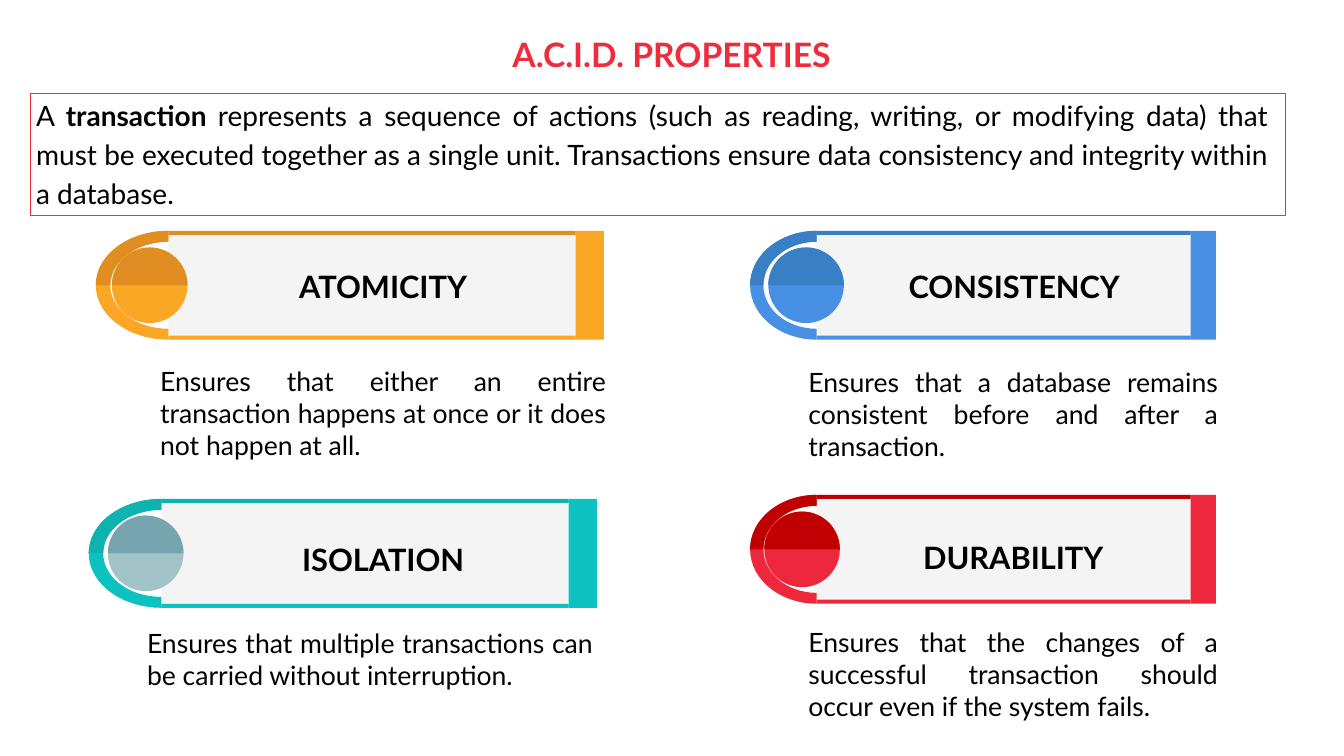
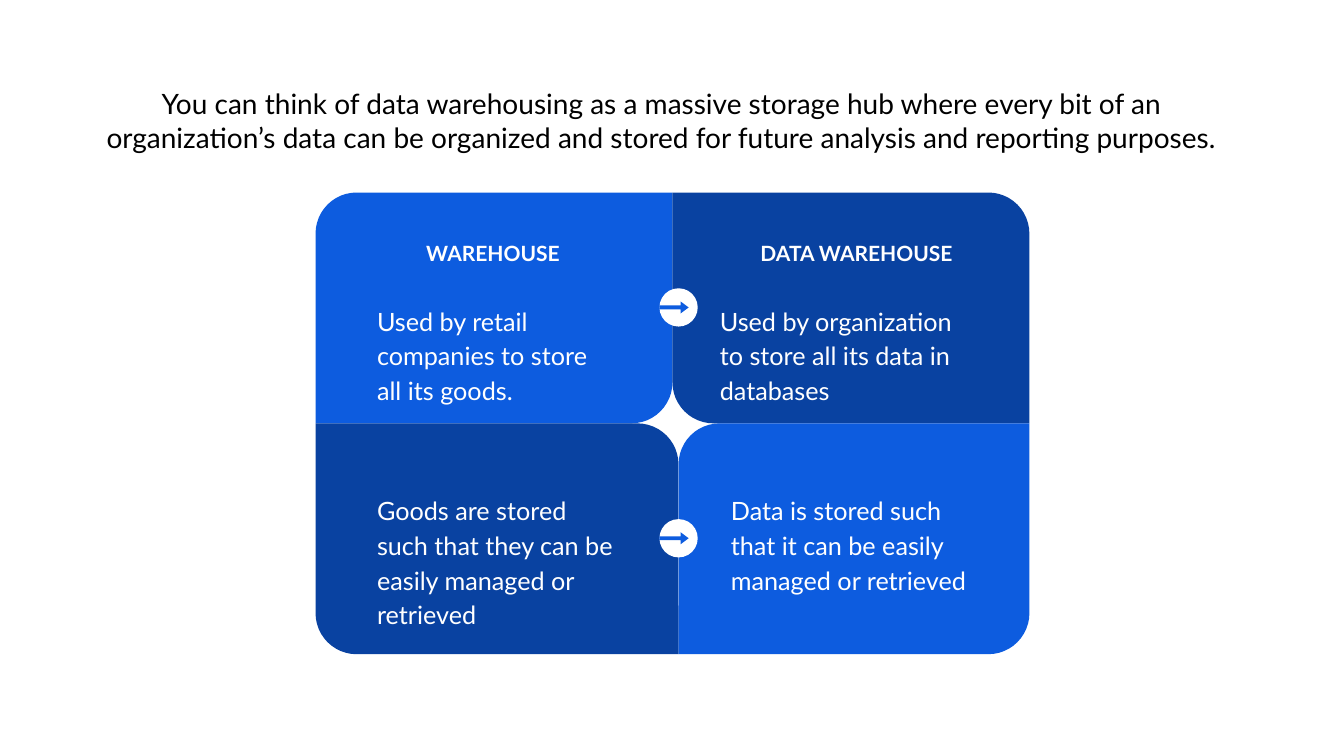
"""Build two slides: the A.C.I.D. properties and a data warehouse comparison."""
from math import cos, radians, sin

from pptx import Presentation
from pptx.dml.color import RGBColor
from pptx.enum.shapes import MSO_SHAPE
from pptx.enum.text import MSO_ANCHOR, PP_ALIGN
from pptx.util import Pt

PX = 9144
FONT = "Lato"
RECT, OVAL = MSO_SHAPE.RECTANGLE, MSO_SHAPE.OVAL
ARROW, LEAF = MSO_SHAPE.RIGHT_ARROW, MSO_SHAPE.ROUND_2_DIAG_RECTANGLE
LEFT, CENTER, JUSTIFY = PP_ALIGN.LEFT, PP_ALIGN.CENTER, PP_ALIGN.JUSTIFY
COLOURS = {
    "black": "000000", "white": "FFFFFF", "panel": "F4F4F4", "title": "EE2C3C",
    "orange": "FAA726", "dark orange": "E08E22",
    "sky": "4890E4", "dark sky": "387FC6",
    "teal": "0EC1C1", "dark teal": "0DB3AF",
    "mist": "A2C4C9", "dark mist": "76A5AF",
    "red": "EE283C", "dark red": "C00000",
    "blue": "0D5CDF", "navy": "0942A1",
}


def paint(shape, colour):
    """Give a shape a flat fill without line or shadow."""
    shape.shadow.inherit = False
    shape.fill.solid()
    shape.fill.fore_color.rgb = RGBColor.from_string(COLOURS[colour])
    shape.line.fill.background()


def write(shape, text, size, colour, align, inset=(10, 10), bold=False, spacing=None):
    """Set one wrapped paragraph in a shape and return it."""
    frame = shape.text_frame
    frame.word_wrap = True
    frame.margin_left = frame.margin_right = inset[0] * PX
    frame.margin_top = frame.margin_bottom = inset[1] * PX
    paragraph = frame.paragraphs[0]
    paragraph.text = text
    paragraph.alignment = align
    paragraph.line_spacing = spacing
    font = paragraph.font
    font.name, font.size, font.bold = FONT, Pt(size), bold
    font.color.rgb = RGBColor.from_string(COLOURS[colour])
    return paragraph


deck = Presentation()
deck.slide_width, deck.slide_height = 1333 * PX, 750 * PX

acid = deck.slides.add_slide(deck.slide_layouts[5])
title = acid.shapes.title
title.left, title.top, title.width, title.height = (n * PX for n in (45, 24, 1242, 60))
write(title, "A.C.I.D. PROPERTIES", 24, "title", CENTER, bold=True)
title.text_frame.vertical_anchor = MSO_ANCHOR.MIDDLE

border = acid.shapes.add_shape(RECT, *(n * PX for n in (30, 93, 1245, 121)))
border.shadow.inherit = False
border.fill.background()
border.line.color.rgb = RGBColor.from_string(COLOURS["title"])
border.line.width = Pt(0.75)

definition = acid.shapes.add_textbox(*(n * PX for n in (26, 83, 1242, 120)))
sentence = write(definition, "A ", 20, "black", JUSTIFY, spacing=1.15)
term = sentence.add_run()
term.text = "transaction "
term.font.bold = True
sentence.add_run().text = (
    "represents a sequence of actions (such as reading, writing, or modifying data) "
    "that must be executed together as a single unit. Transactions ensure data "
    "consistency and integrity within a database."
)

BAND, STRIP, DISC = 108, 4, 75
WIDE, NARROW = (72, 404, 28), (66, 371, 25)
PROPERTIES = [
    ("ATOMICITY", (95, 229), WIDE, 111, "orange", "orange", (275, 259, 210), (149, 352, 462),
     "Ensures that either an entire transaction happens at once or it does not happen at all."),
    ("CONSISTENCY", (744, 229), NARROW, 762, "sky", "sky", (878, 259, 256), (792, 353, 426),
     "Ensures that a database remains consistent before and after a transaction."),
    ("ISOLATION", (88, 495), WIDE, 107, "teal", "mist", (275, 530, 210), (136, 612, 462),
     "Ensures that multiple transactions can be carried without interruption."),
    ("DURABILITY", (744, 491), NARROW, 758, "red", "red", (900, 528, 210), (792, 611, 426),
     "Ensures that the changes of a successful transaction should occur even if the system fails."),
]
for name, (x, y), (bow, body, cap), disc_x, hue, disc_hue, heading, detail, meaning in PROPERTIES:
    body_x, middle, radius = x + bow, y + BAND / 2, DISC / 2
    for kind, box, colour in [
        (RECT, (body_x, y, body, BAND), "panel"),
        (RECT, (body_x + body, y, cap, BAND), hue),
        (RECT, (body_x, y, body, STRIP), "dark " + hue),
        (RECT, (body_x, y + BAND - STRIP, body, STRIP), hue),
        (OVAL, (disc_x, middle - radius, DISC, DISC), disc_hue),
    ]:
        paint(acid.shapes.add_shape(kind, *(int(n * PX) for n in box)), colour)

    outer, inner = (body_x, bow, BAND / 2), (body_x, bow * 0.8, BAND * 0.4)
    dome = (disc_x + radius, radius, radius)
    for arcs, colour in [
        ([(outer, 90, 270), (inner, 270, 90)], hue),
        ([(outer, 180, 270), (inner, 270, 180)], "dark " + hue),
        ([(dome, 180, 360)], "dark " + disc_hue),
    ]:
        points = []
        for (center, rx, ry), start, end in arcs:
            for step in range(31):
                angle = radians(start + (end - start) * step / 30)
                points.append((round((center + rx * cos(angle)) * PX),
                               round((middle + ry * sin(angle)) * PX)))
        builder = acid.shapes.build_freeform(*points[0])
        builder.add_line_segments(points[1:], close=True)
        paint(builder.convert_to_shape(), colour)

    label = acid.shapes.add_textbox(*(n * PX for n in (*heading, 38)))
    write(label, name, 22, "black", CENTER, (7, 4), bold=True, spacing=1.07)
    explanation = acid.shapes.add_textbox(*(n * PX for n in (*detail, 116)))
    write(explanation, meaning, 19, "black", JUSTIFY)

warehouse = deck.slides.add_slide(deck.slide_layouts[6])
intro = warehouse.shapes.add_textbox(*(n * PX for n in (73, 76, 1166, 88)))
write(intro, "You can think of data warehousing as a massive storage hub where every bit of an "
      "organization’s data can be organized and stored for future analysis and reporting "
      "purposes.", 20, "black", CENTER)

ROUND = 0.178
QUADRANTS = [
    ((313, 191, 354, 229), "blue", (ROUND, 0)),
    ((667, 191, 354, 229), "navy", (0, ROUND)),
    ((313, 420, 360, 229), "navy", (0, ROUND)),
    ((673, 420, 348, 229), "blue", (ROUND, 0)),
]
ARROWS = [
    part
    for y in (286, 515)
    for part in [
        (OVAL, (654, y, 38, 38), "white", ()),
        (ARROW, (654, y + 13, 29, 12), "blue", (0.32, 0.67)),
    ]
]
for kind, box, colour, corners in [(LEAF, *quadrant) for quadrant in QUADRANTS] + ARROWS:
    piece = warehouse.shapes.add_shape(kind, *(n * PX for n in box))
    for index, value in enumerate(corners):
        piece.adjustments[index] = value
    paint(piece, colour)

for text, box in [
    ("WAREHOUSE", (357, 226, 264, 46)),
    ("DATA WAREHOUSE", (707, 226, 285, 46)),
]:
    column = warehouse.shapes.add_textbox(*(n * PX for n in box))
    write(column, text, 15, "white", CENTER, (13, 13), bold=True)

for text, box in [
    ("Used by retail companies to store all its goods.", (361, 286, 264, 121)),
    ("Used by organization to store all its data in databases", (701, 286, 285, 121)),
    ("Goods are stored such that they can be easily managed or retrieved", (361, 474, 264, 121)),
    ("Data is stored such that it can be easily managed or retrieved", (712, 474, 264, 121)),
]:
    trait = warehouse.shapes.add_textbox(*(n * PX for n in box))
    write(trait, text, 18, "white", LEFT, (13, 13), spacing=1.15)

deck.save("out.pptx")
